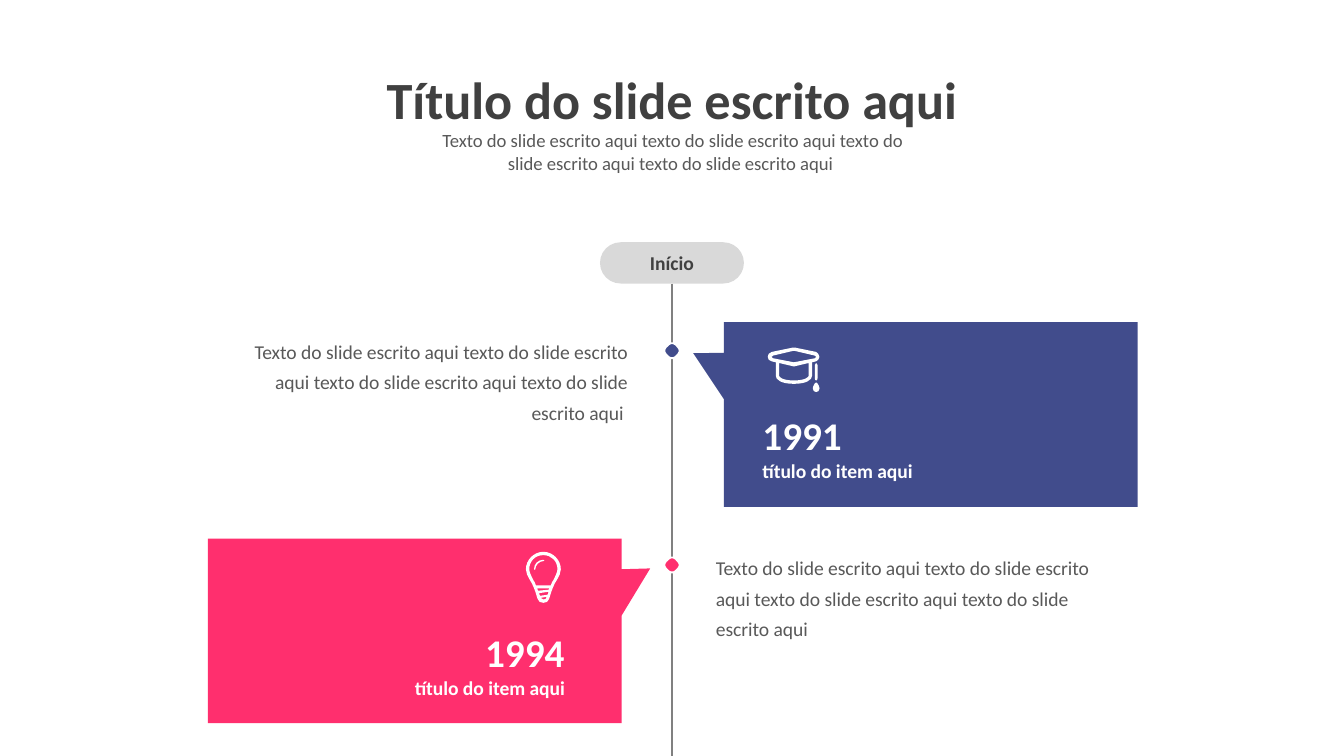
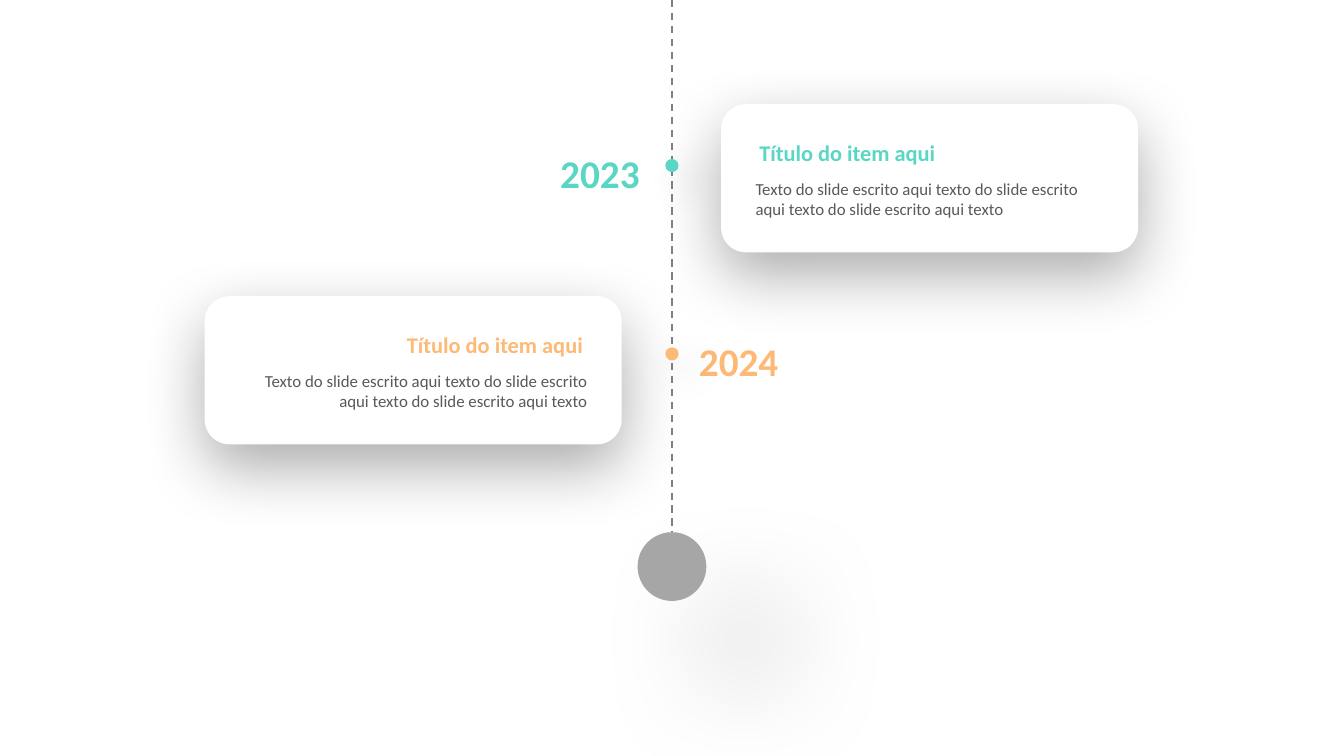
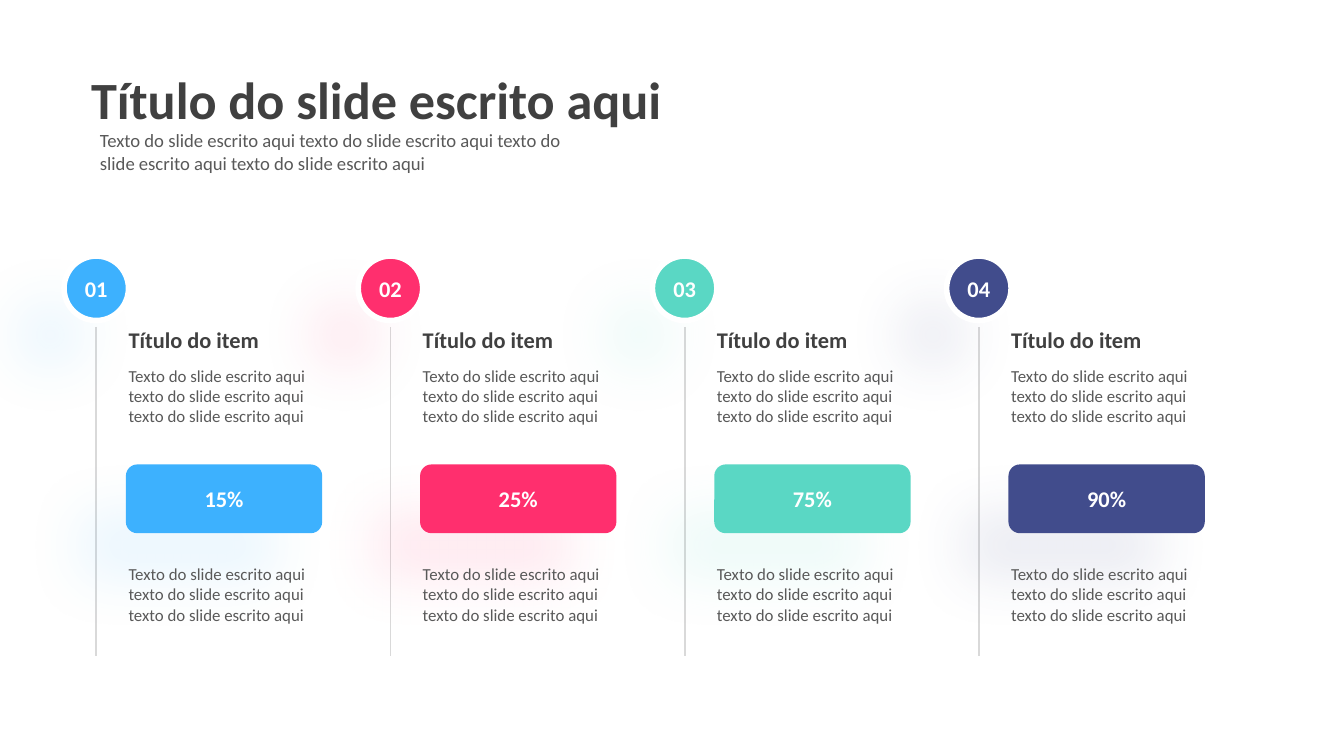
"""Build three timeline and infographic slides."""
from dataclasses import dataclass
from typing import Any, Optional

from lxml import etree
from pptx import Presentation
from pptx.dml.color import RGBColor
from pptx.enum.dml import MSO_LINE
from pptx.enum.shapes import MSO_CONNECTOR, MSO_SHAPE
from pptx.enum.text import MSO_ANCHOR, MSO_AUTO_SIZE, PP_ALIGN
from pptx.oxml.ns import qn
from pptx.util import Cm, Pt

LEFT, CENTER, RIGHT = PP_ALIGN.LEFT, PP_ALIGN.CENTER, PP_ALIGN.RIGHT
TOP, MIDDLE = MSO_ANCHOR.TOP, MSO_ANCHOR.MIDDLE
ROUNDED, ELLIPSE = MSO_SHAPE.ROUNDED_RECTANGLE, MSO_SHAPE.OVAL
CALLOUT = MSO_SHAPE.RECTANGULAR_CALLOUT
STRAIGHT, DASH = MSO_CONNECTOR.STRAIGHT, MSO_LINE.DASH
GROW = MSO_AUTO_SIZE.SHAPE_TO_FIT_TEXT

FONT = "Calibri"
WHITE, DARK, BODY = "FFFFFF", "404040", "595959"
AXIS, PALE, GRAY = "808080", "D9D9D9", "A6A6A6"
BLUE, PINK, TEAL, NAVY, ORANGE = "3DB1FE", "FF2F6E", "5AD7C4", "414C8C", "FEB976"
PAGE_WIDTH, PAGE_HEIGHT = 25.4, 14.29
MIDDLE_X = PAGE_WIDTH / 2
COLUMN_PITCH = 5.56
TIGHT = (0.18, 0.1)
TITLE_ONLY, BLANK = 5, 6
UNITS_PER_CM = 3937

CAP = [
    [
        "38.5 7 | 38.5 5 37 4 36 3.3 | 20.5 0.1 | 20 0 19 0 18.5 0.1 | 3 3.3 | 1 4 0 5 0 7"
        " | 0 8.5 1 10 3 10.3 | 6 11 | 6 21 | 6 24 10 27 19.5 27 | 29 27 33 24 33 21"
        " | 33 11 | 36 10.3 | 37 10 38.5 8.5 38.5 7",
        "19.5 11 | 4 8 | 2.5 7.5 2.5 6.5 4 6 | 19 2.5 | 20 2.5 | 35 6 | 36.5 6.5 36.5 7.5 35 8",
        "30.5 21 | 30.5 22 28 24.5 19.5 24.5 | 11 24.5 8.5 22 8.5 21 | 8.5 11.5 | 19 14"
        " | 20 14 | 30.5 11.5",
    ],
    ["35 13 | 35 23 | 35 25 37 25 37 23 | 37 13 | 37 11 35 11 35 13"],
    ["36 26 | 35 26 33.5 29 33.5 30.5 | 33.5 34 38.5 34 38.5 30.5 | 38.5 29 37 26 36 26"],
]
BULB = [
    [
        "13 0 | 6 0 0 6 0 13 | 0 18 5 23 6 27 | 9 34 8 38 13 38 | 18 38 17 34 20 27"
        " | 21 23 26 18 26 13 | 26 6 20 0 13 0",
        "18.5 25 | 7.5 25 | 7 23 6 22 5.5 21 | 4 18 2.5 15 2.5 13 | 2.5 7 7 2.5 13 2.5"
        " | 19 2.5 23.5 7 23.5 13 | 23.5 15 22 18 20.5 21 | 20 22 19 23 18.5 25",
        "9 29 | 8.5 27.3 | 17.5 27.3 | 17 28.2",
        "16 32 | 10.5 32.8 | 10 32 10 31 9.7 30.8 | 16.8 29.8 | 16.5 31 16.5 32 16 32",
        "13 35.5 | 12 35.5 11.5 35 11 34.3 | 15.5 33.5 | 15 35.3 14.5 35.5 13 35.5",
    ],
    ["13 6 | 9 6 6 9 6 13 | 6 13.7 7 13.7 7 13 | 7 10 10 7 13 7 | 14 7 14 6 13 6"],
]


@dataclass
class Milestone:
    """A coloured callout of the first timeline with its text."""

    year: str
    color: str
    align: Any
    top: float
    card_left: float
    tail: tuple[float, float]
    year_left: float
    heading_left: float
    body: str
    body_left: float
    dot_y: float
    icon: list[list[str]]
    icon_at: tuple[float, float]


@dataclass
class Card:
    """A white card of the second timeline."""

    year: str
    color: str
    left: float
    top: float
    align: Any
    year_left: float
    year_top: float
    year_align: Any


@dataclass
class Column:
    """A numbered column with a percentage."""

    number: str
    percent: str
    color: str


@dataclass
class Shadow:
    """An outer shadow: opacity in percent, lengths in points, angle in degrees."""

    color: str
    opacity: int
    blur: int
    distance: int
    angle: int


def sample_text(count: int, tail: str = "") -> str:
    """Repeat the sample phrase and start it with a capital."""
    return " ".join(["texto do slide escrito aqui"] * count).capitalize() + tail


MILESTONES = [
    Milestone("1991", NAVY, LEFT, 6.09, 13.68, (-0.574, -0.332), 14.16, 14.16,
              sample_text(4, " "), 4.32, 6.63, CAP, (14.51, 6.57)),
    Milestone("1994", PINK, RIGHT, 10.18, 3.93, (0.569, -0.338), 7.41, 6.79,
              sample_text(4), 13.28, 10.68, BULB, (9.94, 10.43)),
]
CARDS = [
    Card("2023", TEAL, 13.63, 1.97, LEFT, 9.15, 2.37, RIGHT),
    Card("2024", ORANGE, 3.87, 5.6, RIGHT, 13.03, 5.93, LEFT),
]
COLUMNS = [
    Column("01", "15%", BLUE),
    Column("02", "25%", PINK),
    Column("03", "75%", TEAL),
    Column("04", "90%", NAVY),
]


def rgb(color: str) -> RGBColor:
    """Turn a hex string into a colour."""
    return RGBColor.from_string(color)


def write(shape: Any, text: str, *, size: float, color: str, bold: bool = False, align: Any = LEFT,
          anchor: Any = TOP, spacing: Optional[float] = None,
          inset: tuple[float, float] = (0.25, 0.13)) -> None:
    """Put one formatted paragraph in a shape."""
    frame = shape.text_frame
    frame.word_wrap = True
    frame.vertical_anchor = anchor
    frame.margin_left = frame.margin_right = Cm(inset[0])
    frame.margin_top = frame.margin_bottom = Cm(inset[1])
    para = frame.paragraphs[0]
    para.alignment = align
    if spacing:
        para.line_spacing = spacing
    span = para.add_run()
    span.text = text
    span.font.name, span.font.size, span.font.bold = FONT, Pt(size), bold
    span.font.color.rgb = rgb(color)


def add_text(page: Any, text: str, left: float, top: float, width: float, height: float,
             **text_format: Any) -> None:
    """Add a text box that grows with its text."""
    box = page.shapes.add_textbox(Cm(left), Cm(top), Cm(width), Cm(height))
    write(box, text, **text_format)
    box.text_frame.auto_size = GROW


def paint(shape: Any, fill: str, outline: Optional[str] = None, outline_width: float = 1,
          shadow: Optional[Shadow] = None) -> None:
    """Set the fill, outline and shadow of a shape."""
    shape.fill.solid()
    shape.fill.fore_color.rgb = rgb(fill)
    if outline:
        shape.line.color.rgb = rgb(outline)
        shape.line.width = Pt(outline_width)
    else:
        shape.line.fill.background()
    shape.shadow.inherit = False
    if shadow:
        effects = shape._element.spPr.find(qn("a:effectLst"))
        outer = etree.SubElement(
            effects, qn("a:outerShdw"), blurRad=str(Pt(shadow.blur)), dist=str(Pt(shadow.distance)),
            dir=str(shadow.angle * 60000), algn="ctr", rotWithShape="0")
        tint = etree.SubElement(outer, qn("a:srgbClr"), val=shadow.color)
        etree.SubElement(tint, qn("a:alpha"), val=str(shadow.opacity * 1000))


def add_shape(page: Any, kind: Any, left: float, top: float, width: float, height: float,
              fill: str, **style: Any) -> Any:
    """Add a painted preset shape."""
    shape = page.shapes.add_shape(kind, Cm(left), Cm(top), Cm(width), Cm(height))
    paint(shape, fill, **style)
    return shape


def add_centered(page: Any, kind: Any, center_x: float, center_y: float, size: float,
                 fill: str, **style: Any) -> Any:
    """Add a square-framed shape around a centre point."""
    return add_shape(page, kind, center_x - size / 2, center_y - size / 2, size, size, fill, **style)


def add_vertical_line(page: Any, x: float, top: float, bottom: float, color: str) -> Any:
    """Add a thin vertical connector without a shadow."""
    line = page.shapes.add_connector(STRAIGHT, Cm(x), Cm(top), Cm(x), Cm(bottom))
    line.line.color.rgb = rgb(color)
    line.line.width = Pt(1)
    etree.SubElement(line._element.spPr, qn("a:effectLst"))
    return line


def read_steps(contour: str) -> list[list[tuple[float, float]]]:
    """Split a contour into steps of one point (line) or three (curve)."""
    steps = []
    for step in contour.split("|"):
        numbers = [float(number) * 100 for number in step.split()]
        steps.append(list(zip(numbers[::2], numbers[1::2])))
    return steps


def bend(shape: Any, sizes: list[int]) -> None:
    """Join each three lines that stand for a curve into one cubic curve."""
    lines = iter(list(shape._element.iter(qn("a:lnTo"))))
    for size in sizes:
        group = [next(lines) for _ in range(size)]
        if size == 3:
            curve = etree.Element(qn("a:cubicBezTo"))
            group[0].addprevious(curve)
            for line in group:
                curve.append(line[0])
                line.getparent().remove(line)


def add_icon(page: Any, icon: list[list[str]], left: float, top: float) -> None:
    """Draw each outline of an icon as a white freeform."""
    for outline in icon:
        contours = [read_steps(contour) for contour in outline]
        builder = page.shapes.build_freeform(*contours[0][0][0], scale=Cm(1) / UNITS_PER_CM)
        sizes = []
        for index, (start, *steps) in enumerate(contours):
            if index:
                builder.move_to(*start[0])
            points = [point for step in steps for point in step]
            closing = points[-1] != start[0]
            builder.add_line_segments(points + start * closing, close=True)
            sizes += [len(step) for step in steps] + [1] * closing
        shape = builder.convert_to_shape(Cm(left), Cm(top))
        bend(shape, sizes)
        paint(shape, WHITE)


def add_heading(page: Any, title_left: float, subtitle: str, subtitle_left: float, align: Any) -> None:
    """Place the slide title and the text under it."""
    title = page.shapes.title
    title.left, title.top, title.width, title.height = Cm(title_left), Cm(1.14), Cm(15.47), Cm(1.45)
    write(title, "Título do slide escrito aqui", size=28, color=DARK, bold=True, align=align)
    title.text_frame.auto_size = GROW
    add_text(page, subtitle, subtitle_left, 2.31, 9.68, 1.12, size=10, color=BODY, align=align)


def add_milestone(page: Any, item: Milestone) -> None:
    """Draw a callout, its dot on the axis and its texts."""
    callout = add_shape(page, CALLOUT, item.card_left, item.top, 7.82, 3.49, item.color)
    callout.adjustments[0], callout.adjustments[1] = item.tail
    add_text(page, "título do item aqui", item.heading_left, item.top + 2.33, 4.14, 0.81,
             size=10.5, color=WHITE, bold=True, align=item.align, spacing=1.3)
    add_text(page, item.year, item.year_left, item.top + 1.56, 3.51, 1.14,
             size=21, color=WHITE, bold=True, align=item.align)
    body_align = RIGHT if item.align == LEFT else LEFT
    add_text(page, item.body, item.body_left, item.top + 0.07, 7.8, 1.98,
             size=10.5, color=BODY, align=body_align, spacing=1.3)
    dot = add_centered(page, ROUNDED, MIDDLE_X, item.dot_y, 0.26, item.color, outline=WHITE)
    dot.adjustments[0] = 0.365
    dot.rotation = 45
    add_icon(page, item.icon, *item.icon_at)


def add_card(page: Any, card: Card) -> None:
    """Draw a white card with its title and text."""
    add_shape(page, ROUNDED, card.left, card.top, 7.88, 2.8, WHITE, shadow=Shadow("000000", 32, 35, 12, 90))
    add_text(page, sample_text(3, " texto"), card.left + 0.47, card.top + 1.31, 6.93, 0.97,
             size=9, color=BODY, align=card.align, inset=TIGHT)
    add_text(page, "Título do item aqui", card.left + 0.47, card.top + 0.33, 6.93, 0.91,
             size=12, color=card.color, bold=True, align=card.align, spacing=1.4)


def add_year(page: Any, card: Card) -> None:
    """Mark the year of a card on the axis."""
    add_text(page, card.year, card.year_left, card.year_top, 3.12, 1.37, size=21,
             color=card.color, bold=True, align=card.year_align, spacing=1.4, inset=TIGHT)
    add_centered(page, ELLIPSE, MIDDLE_X, card.year_top + 0.76, 0.25, card.color,
                 shadow=Shadow("000000", 23, 20, 10, 45))


def add_column(page: Any, column: Column, offset: float) -> None:
    """Draw a numbered column shifted to the right by an offset."""
    text_left, axis_x = 2.18 + offset, 1.82 + offset
    label = {"size": 12, "color": WHITE, "bold": True, "align": CENTER, "anchor": MIDDLE}
    shadow = Shadow(column.color, 10, 30, 35, 135)
    add_text(page, "Título do item", text_left, 5.84, 3.71, 0.91,
             size=12, color=DARK, bold=True, spacing=1.4)
    add_vertical_line(page, axis_x, 6.18, 12.4, PALE)
    bar = add_shape(page, ROUNDED, 2.38 + offset, 8.78, 3.71, 1.3, column.color, shadow=shadow)
    write(bar, column.percent, inset=TIGHT, **label)
    badge = add_centered(page, ELLIPSE, axis_x, 5.45, 1.22, column.color,
                         outline=WHITE, outline_width=3, shadow=shadow)
    write(badge, column.number, inset=(0, 0), **label)
    for top in (6.78, 10.53):
        add_text(page, sample_text(3), text_left, top, 3.91, 1.8, size=9, color=BODY)


def build_timeline_start(deck: Any) -> None:
    """Build the opening slide of the timeline."""
    page = deck.slides.add_slide(deck.slide_layouts[TITLE_ONLY])
    add_heading(page, 4.96, sample_text(4, " "), 7.87, CENTER)
    start = add_shape(page, ROUNDED, MIDDLE_X - 1.36, 4.58, 2.72, 0.78, PALE)
    start.adjustments[0] = 0.5
    write(start, "Início", size=10.5, color=DARK, bold=True, align=CENTER, anchor=MIDDLE)
    axis = add_vertical_line(page, MIDDLE_X, 5.36, PAGE_HEIGHT, AXIS)
    axis.begin_connect(start, 2)
    for item in MILESTONES:
        add_milestone(page, item)


def build_timeline_end(deck: Any) -> None:
    """Build the closing slide of the timeline."""
    page = deck.slides.add_slide(deck.slide_layouts[BLANK])
    for card in CARDS:
        add_card(page, card)
    axis = add_vertical_line(page, MIDDLE_X, 0, 10.41, AXIS)
    axis.line.dash_style = DASH
    for card in CARDS:
        add_year(page, card)
    add_centered(page, ELLIPSE, MIDDLE_X, 10.71, 1.3, GRAY, shadow=Shadow("000000", 25, 63, 55, 45))


def build_columns(deck: Any) -> None:
    """Build the slide with four numbered columns."""
    page = deck.slides.add_slide(deck.slide_layouts[TITLE_ONLY])
    add_heading(page, 1.47, sample_text(4), 1.64, LEFT)
    for index, column in enumerate(COLUMNS):
        add_column(page, column, index * COLUMN_PITCH)


def main() -> None:
    """Build and save the deck."""
    deck = Presentation()
    deck.slide_width, deck.slide_height = Cm(PAGE_WIDTH), Cm(PAGE_HEIGHT)
    build_timeline_start(deck)
    build_timeline_end(deck)
    build_columns(deck)
    deck.save("out.pptx")


if __name__ == "__main__":
    main()
